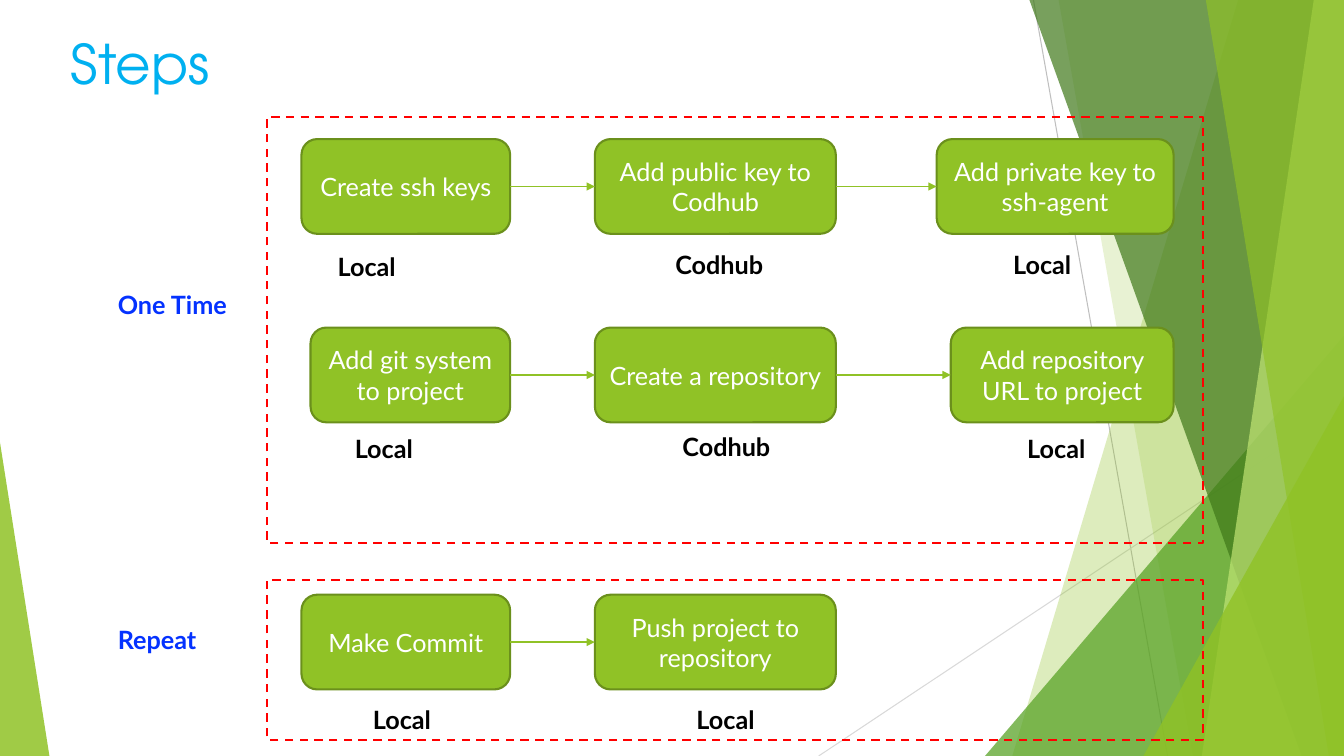
from lxml import etree
from pptx import Presentation
from pptx.dml.color import RGBColor
from pptx.enum.dml import MSO_LINE
from pptx.enum.shapes import MSO_CONNECTOR, MSO_SHAPE
from pptx.enum.text import MSO_ANCHOR, MSO_AUTO_SIZE, PP_ALIGN
from pptx.oxml.ns import qn
from pptx.util import Inches, Pt

COLORS = {
    "green": "90C226", "outline": "6B901C", "leaf": "54A021",
    "forest": "3F7819", "lime": "C0E474", "grey": "BFBFBF",
    "pale grey": "D9D9D9", "sky": "00B0F0", "blue": "0432FF",
    "red": "FF0000", "white": "FFFFFF", "black": "000000",
}
LABEL_HEIGHT = 0.4
WIDE_LABEL = 1.23
STEP_HEIGHT = 0.94


def rgb(name):
    return RGBColor.from_string(COLORS[name])


def write(shape, text, color, **font_values):
    """Fill a shape's text frame with one formatted paragraph."""
    frame = shape.text_frame
    frame.text = text
    run_font = frame.paragraphs[0].runs[0].font
    values = {"name": "Lato", "size": Pt(18), "bold": False} | font_values
    for name, value in values.items():
        setattr(run_font, name, value)
    run_font.color.rgb = rgb(color)
    return frame


presentation = Presentation()
presentation.slide_width = Inches(13.33)
presentation.slide_height = Inches(7.5)
slide = presentation.slides.add_slide(presentation.slide_layouts[5])
shapes = slide.shapes
connectors = []

# Background rays: start, end, colour
rays = [
    ((10.25, 0), (11.58, 7.5), "grey"),
    ((13.33, 4.03), (8.12, 7.5), "pale grey"),
]
for start, end, color in rays:
    ray = shapes.add_connector(
        MSO_CONNECTOR.STRAIGHT, *(Inches(value) for value in start + end))
    ray.line.color.rgb = rgb(color)
    ray.line.width = Pt(0.75)
    connectors.append(ray)

# Facets: a pair gives the top and bottom x of a panel reaching the right edge;
# four numbers and an apex position give a triangle
facets = [
    ((12.28, 10.04), None, "green", 30),
    ((10.5, 11.83), None, "green", 20),
    ((9.77, 3.33, 3.56, 4.17), 1, "leaf", 72),
    ((10.21, 12.91), None, "forest", 70),
    ((13.03, 11.92), None, "lime", 70),
    ((11.96, 13.18), None, "green", 65),
    ((11.34, 3.93, 1.99, 3.57), 1, "green", 80),
    ((0, 4.39, 0.49, 3.11), 0, "green", 85),
]
for geometry, apex, color, opacity in facets:
    if apex is None:
        top_x, bottom_x = geometry
        corners = [(13.33, 0), (13.33, 7.5), (bottom_x, 7.5)]
        builder = shapes.build_freeform(Inches(top_x), 0)
        builder.add_line_segments(
            [(Inches(x), Inches(y)) for x, y in corners], close=True)
        facet = builder.convert_to_shape()
    else:
        facet = shapes.add_shape(
            MSO_SHAPE.ISOSCELES_TRIANGLE, *(Inches(value) for value in geometry))
        facet.adjustments[0] = apex
    facet.shadow.inherit = False
    facet.fill.solid()
    facet.fill.fore_color.rgb = rgb(color)
    facet.line.fill.background()
    color_element = facet.fill._xPr.find(f"{qn('a:solidFill')}/{qn('a:srgbClr')}")
    etree.SubElement(color_element, qn("a:alpha"), val=str(opacity * 1000))

title = shapes.title
title_box = {"left": 0.6, "top": -0.1, "width": 11.18, "height": 1.44}
for name, value in title_box.items():
    setattr(title, name, Inches(value))
title_frame = write(title, "Steps", "sky", name="TeX Gyre Adventor", size=Pt(39))
title_frame.auto_size = MSO_AUTO_SIZE.NONE
title_frame.vertical_anchor = MSO_ANCHOR.MIDDLE
title_frame.paragraphs[0].alignment = PP_ALIGN.LEFT

# Rows of steps: top, then (left, width, text) for each step
step_rows = [
    (1.38, [(2.99, 2.07, "Create ssh keys"),
            (5.9, 2.39, "Add public key to Codhub"),
            (9.29, 2.35, "Add private key to ssh-agent")]),
    (3.25, [(3.08, 1.98, "Add git system to project"),
            (5.9, 2.39, "Create a repository"),
            (9.43, 2.21, "Add repository URL to project")]),
    (5.9, [(2.99, 2.07, "Make Commit"),
           (5.9, 2.39, "Push project to repository")]),
]
for top, steps in step_rows:
    previous = None
    for left, width, text in steps:
        step = shapes.add_shape(
            MSO_SHAPE.ROUNDED_RECTANGLE, Inches(left), Inches(top),
            Inches(width), Inches(STEP_HEIGHT))
        step.shadow.inherit = False
        step.fill.solid()
        step.fill.fore_color.rgb = rgb("green")
        step.line.color.rgb = rgb("outline")
        step.line.width = Pt(1.5)
        frame = write(step, text, "white")
        frame.vertical_anchor = MSO_ANCHOR.MIDDLE
        frame.paragraphs[0].alignment = PP_ALIGN.CENTER
        if previous is not None:
            arrow = shapes.add_connector(MSO_CONNECTOR.STRAIGHT, 0, 0, 0, 0)
            arrow.begin_connect(previous, 3)
            arrow.end_connect(step, 1)
            arrow.line.color.rgb = rgb("green")
            arrow.line.width = Pt(1)
            etree.SubElement(
                arrow.line._get_or_add_ln(), qn("a:tailEnd"), type="triangle")
            connectors.append(arrow)
        previous = step

for connector in connectors:
    etree.SubElement(connector._element.spPr, qn("a:effectLst"))

# Dashed frames around the phases: top, height
for top, height in [(1.16, 4.23), (5.75, 1.59)]:
    phase = shapes.add_shape(
        MSO_SHAPE.RECTANGLE, Inches(2.65), Inches(top), Inches(9.28), Inches(height))
    phase.shadow.inherit = False
    phase.fill.background()
    phase.line.color.rgb = rgb("red")
    phase.line.width = Pt(1.5)
    phase.line.dash_style = MSO_LINE.DASH

# Labels: left, top, width, text, colour
labels = [
    (3.25, 2.44, 0.82, "Local", "black"),
    (6.6, 2.42, WIDE_LABEL, "Codhub", "black"),
    (9.95, 2.42, 0.82, "Local", "black"),
    (3.42, 4.25, 0.82, "Local", "black"),
    (6.67, 4.23, WIDE_LABEL, "Codhub", "black"),
    (10.09, 4.25, WIDE_LABEL, "Local", "black"),
    (3.6, 6.94, WIDE_LABEL, "Local", "black"),
    (6.81, 6.94, WIDE_LABEL, "Local", "black"),
    (1.07, 2.82, 1.33, "One Time", "blue"),
    (1.07, 6.14, 1.03, "Repeat", "blue"),
]
for left, top, width, text, color in labels:
    label = shapes.add_textbox(
        Inches(left), Inches(top), Inches(width), Inches(LABEL_HEIGHT))
    frame = write(label, text, color, bold=True)
    frame.word_wrap = width == WIDE_LABEL
    frame.auto_size = MSO_AUTO_SIZE.SHAPE_TO_FIT_TEXT

presentation.save("out.pptx")
